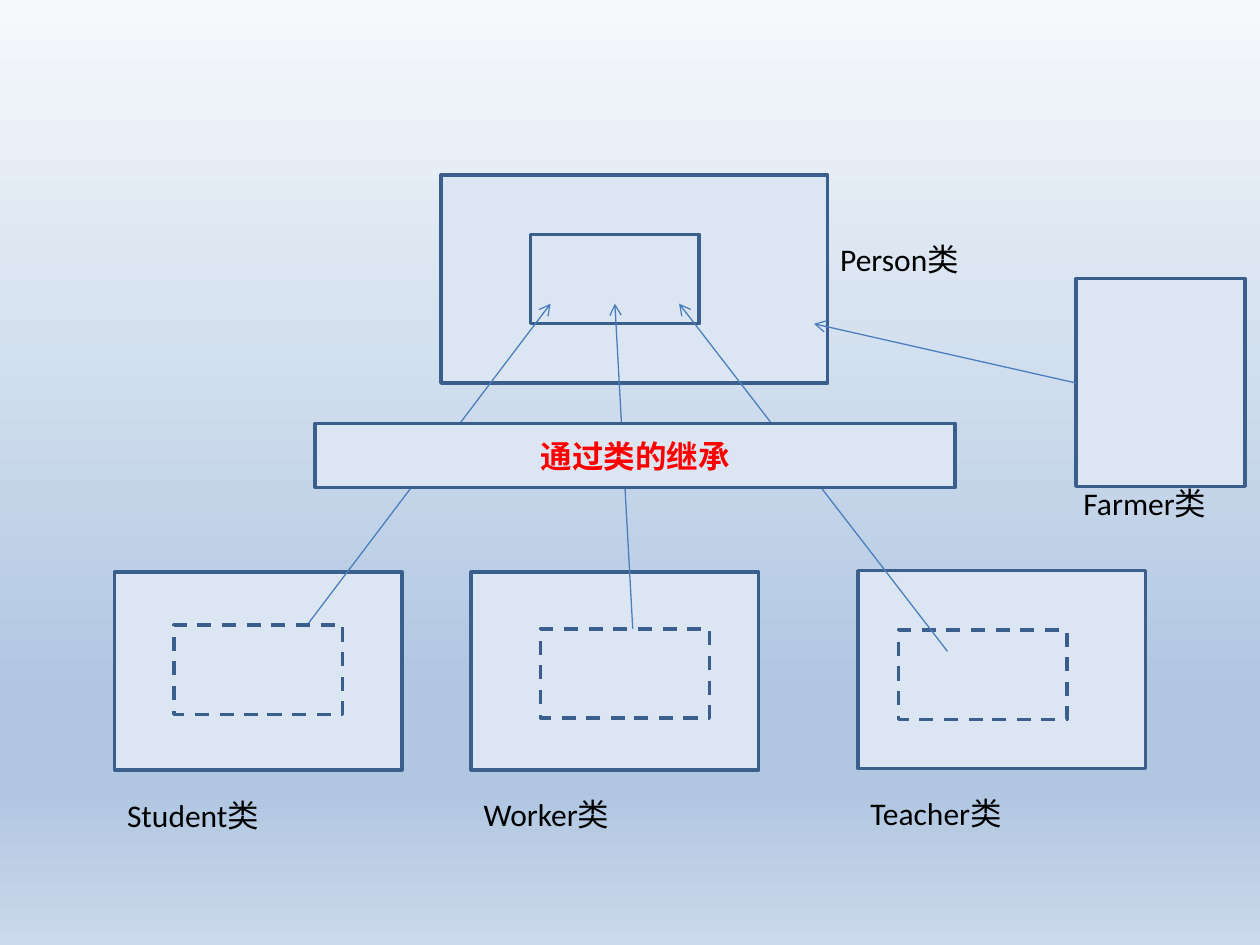
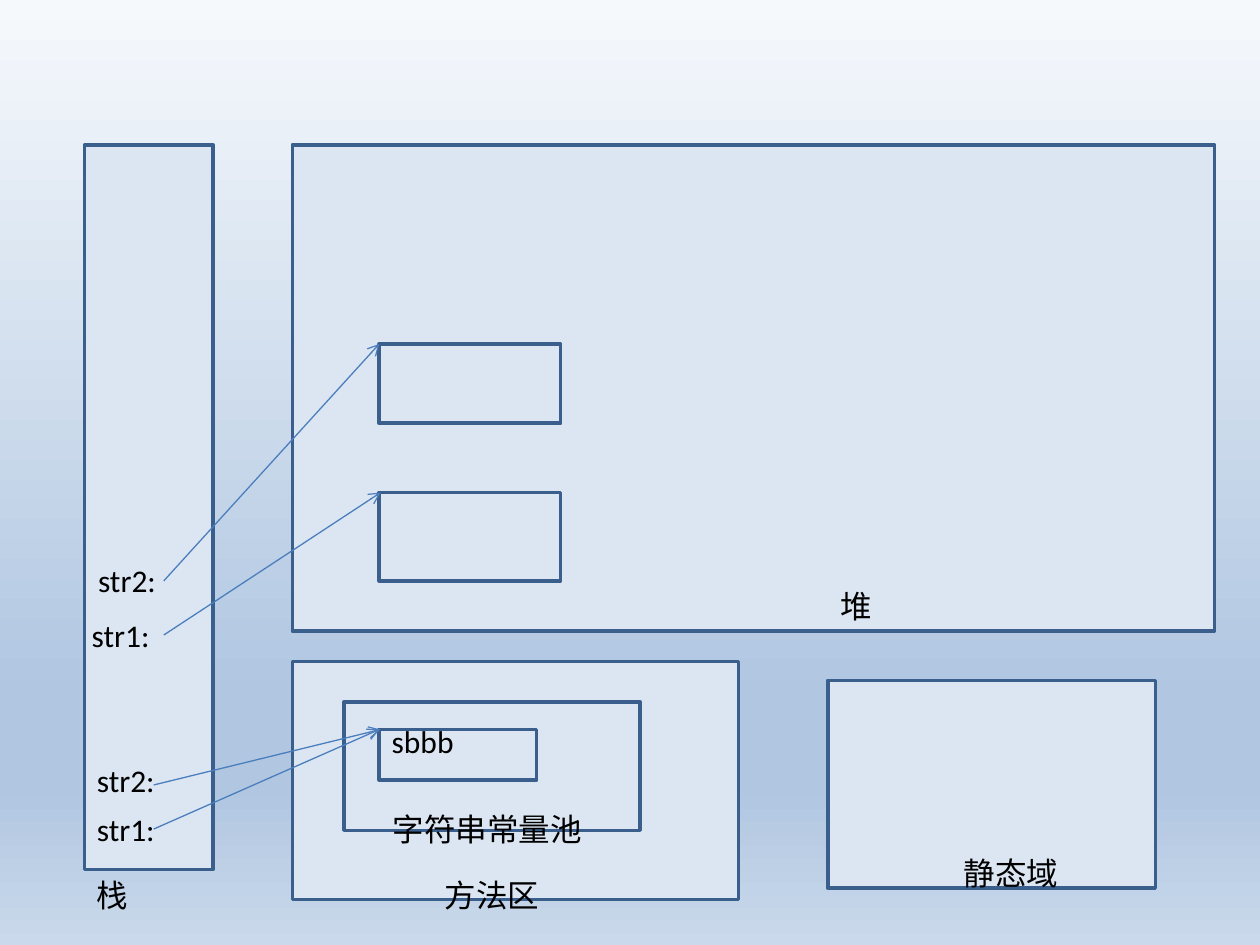
"""Build two diagram slides: class inheritance and string memory layout."""
from copy import deepcopy

from pptx import Presentation
from pptx.dml.color import RGBColor
from pptx.enum.dml import MSO_LINE
from pptx.enum.shapes import MSO_CONNECTOR, MSO_SHAPE
from pptx.enum.text import MSO_ANCHOR, MSO_AUTO_SIZE, PP_ALIGN
from pptx.oxml.ns import qn
from pptx.util import Inches, Pt
from lxml import etree

RECTANGLE = MSO_SHAPE.RECTANGLE
STRAIGHT = MSO_CONNECTOR.STRAIGHT
DASH = MSO_LINE.DASH
TOP, MIDDLE = MSO_ANCHOR.TOP, MSO_ANCHOR.MIDDLE
LEFT, CENTER = PP_ALIGN.LEFT, PP_ALIGN.CENTER
GROW = MSO_AUTO_SIZE.SHAPE_TO_FIT_TEXT

BLACK = RGBColor(0x00, 0x00, 0x00)
RED = RGBColor(0xFF, 0x00, 0x00)
PALE_BLUE = RGBColor(0xDC, 0xE6, 0xF2)
BORDER_BLUE = RGBColor(0x3A, 0x5F, 0x8C)
ARROW_BLUE = RGBColor(0x4B, 0x7E, 0xBC)
BACKDROP = [
    (0, RGBColor(0xF6, 0xF9, 0xFC)),
    (0.74, RGBColor(0xB0, 0xC6, 0xE1)),
    (0.83, RGBColor(0xB0, 0xC6, 0xE1)),
    (1, RGBColor(0xCA, 0xD9, 0xEB)),
]
FONT = "Calibri"
LABEL_HEIGHT = 0.4


def add_text(page, text, left, top, width, height=LABEL_HEIGHT, boxed=False,
             dashed=False, color=BLACK, bold=False, align=LEFT, anchor=TOP):
    area = [Inches(length) for length in (left, top, width, height)]
    if boxed:
        box = page.shapes.add_shape(RECTANGLE, *area)
        box.shadow.inherit = False
        box.fill.solid()
        box.fill.fore_color.rgb = PALE_BLUE
        box.line.color.rgb = BORDER_BLUE
        box.line.width = Pt(2)
        if dashed:
            box.line.dash_style = DASH
    else:
        box = page.shapes.add_textbox(*area)
        box.text_frame.auto_size = GROW
    box.text_frame.word_wrap = True
    box.text_frame.vertical_anchor = anchor
    if text:
        para = box.text_frame.paragraphs[0]
        para.alignment = align
        span = para.add_run()
        span.text = text
        span.font.name = FONT
        span.font.size = Pt(18)
        span.font.bold = bold
        span.font.color.rgb = color


def add_arrow(page, start, end):
    arrow = page.shapes.add_connector(
        STRAIGHT, *[Inches(length) for length in (*start, *end)])
    arrow.line.color.rgb = ARROW_BLUE
    arrow.line.width = Pt(0.75)
    properties = arrow.element.spPr
    etree.SubElement(properties.find(qn("a:ln")), qn("a:tailEnd"), type="arrow")
    etree.SubElement(properties, qn("a:effectLst"))


deck = Presentation()
deck.slide_width = Inches(10)
deck.slide_height = Inches(7.5)
pages = [deck.slides.add_slide(deck.slide_layouts[6]) for _ in range(2)]
for page in pages:
    fill = page.background.fill
    fill.gradient()
    fill.gradient_angle = 270
    stop_list = page.element.find(".//" + qn("a:gsLst"))
    for _ in BACKDROP[2:]:
        stop_list.append(deepcopy(stop_list[-1]))
    for stop, (position, color) in zip(fill.gradient_stops, BACKDROP):
        stop.position = position
        stop.color.rgb = color

inheritance, memory = pages

add_text(inheritance, "", 3.5, 1.39, 3.07, 1.65, boxed=True)
add_text(inheritance, "", 4.21, 1.86, 1.34, 0.71, boxed=True)
add_text(inheritance, "Person类", 6.57, 1.86, 1.97)

subclasses = [
    ("Student类", 0.91, 4.54, 6.27, (1.38, 4.96), (2.4, 5.01), 4.37),
    ("Worker类", 3.74, 4.54, 6.26, (4.29, 4.99), (5.04, 5.32), 4.88),
    ("Teacher类", 6.81, 4.53, 6.25, (7.13, 5), (7.52, 5.17), 5.39),
]
for name, left, top, label_top, inherited, start, target in subclasses:
    add_text(inheritance, "", left, top, 2.28, 1.57, boxed=True)
    add_text(inheritance, name, left, label_top, 2.28)
    arrow_on_top = name == "Teacher类"
    if not arrow_on_top:
        add_arrow(inheritance, start, (target, 2.41))
    add_text(inheritance, "", *inherited, 1.34, 0.71, boxed=True, dashed=True)
    if arrow_on_top:
        add_arrow(inheritance, start, (target, 2.41))

add_text(inheritance, "通过类的继承", 2.5, 3.36, 5.08, 0.51, boxed=True,
         color=RED, bold=True, align=CENTER, anchor=MIDDLE)
add_text(inheritance, "", 8.54, 2.21, 1.34, 1.65, boxed=True)
add_text(inheritance, "Farmer类", 8.5, 3.79, 1.5)
add_arrow(inheritance, (8.54, 3.04), (6.46, 2.57))

memory_boxes = [
    (0.67, 1.15, 1.02, 5.75),
    (2.32, 1.15, 7.32, 3.86),
    (2.32, 5.25, 3.54, 1.89),
    (6.57, 5.4, 2.6, 1.65),
    (2.73, 5.57, 2.35, 1.02),
    (3.01, 5.79, 1.25, 0.4),
    (3.01, 3.91, 1.44, 0.7),
    (3.01, 2.73, 1.44, 0.63),
]
for area in memory_boxes:
    add_text(memory, "", *area, boxed=True)

memory_labels = [
    ("栈", 0.67, 6.9, 1.02),
    ("堆", 6.57, 4.61, 1.02),
    ("方法区", 3.43, 6.9, 1.02),
    ("静态域", 7.55, 6.73, 1.02),
    ("字符串常量池", 3.02, 6.38, 2.2),
    ("sbbb", 3.01, 5.68, 1.25),
    ("str1:", 0.67, 6.38, 1.1),
    ("str2:", 0.67, 5.99, 1.1),
    ("str2:", 0.68, 4.4, 1.1),
    ("str1:", 0.63, 4.84, 1.1),
]
for label in memory_labels:
    add_text(memory, *label)

references = [
    ((1.22, 6.58), (3.01, 5.79)),
    ((1.22, 6.23), (3.02, 5.79)),
    ((1.3, 5.04), (3.02, 3.91)),
    ((1.3, 4.61), (3.01, 2.73)),
]
for start, end in references:
    add_arrow(memory, start, end)

deck.save("out.pptx")
